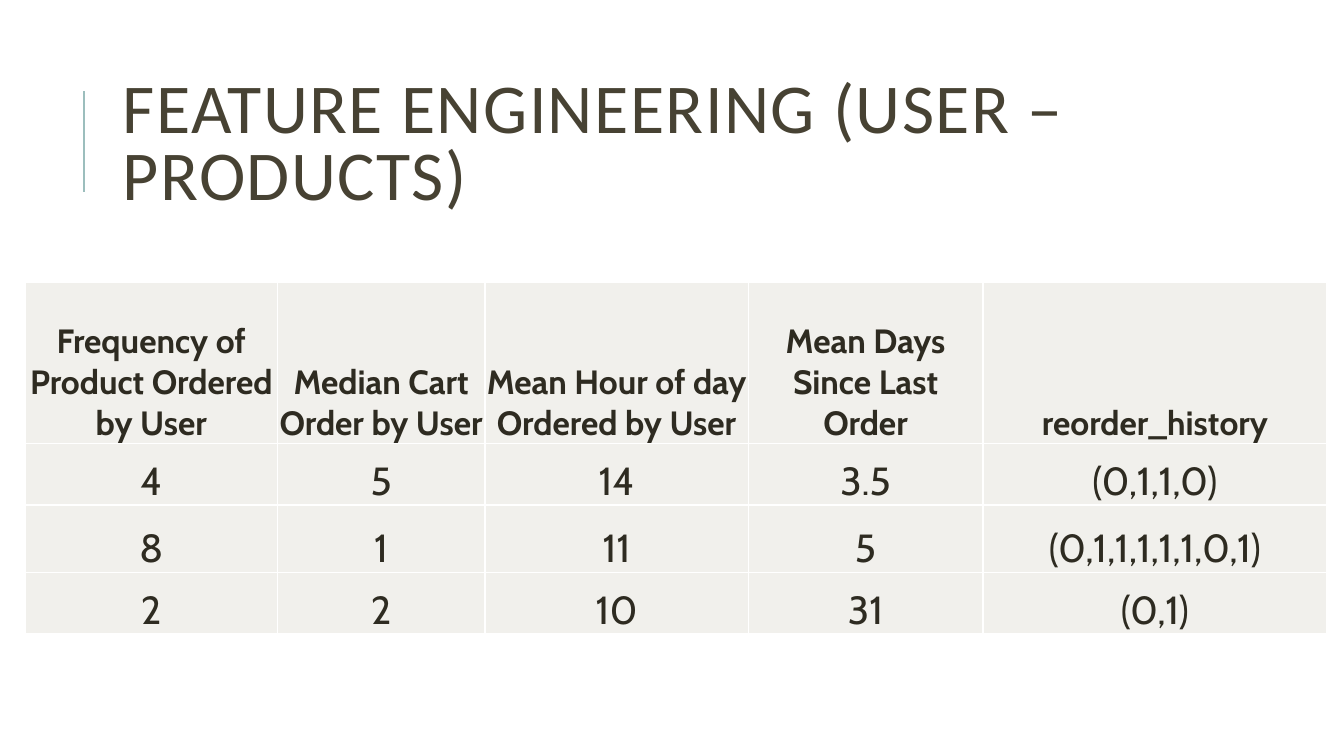
from lxml import etree
from pptx import Presentation
from pptx.dml.color import RGBColor
from pptx.enum.shapes import MSO_CONNECTOR
from pptx.enum.text import MSO_ANCHOR, PP_ALIGN
from pptx.oxml.ns import qn
from pptx.util import Pt

LINE = MSO_CONNECTOR.STRAIGHT
MIDDLE, BOTTOM = MSO_ANCHOR.MIDDLE, MSO_ANCHOR.BOTTOM
CENTER = PP_ALIGN.CENTER
PX = 9144  # EMU per px, 100 px to the inch
COLORS = {"title": "474233", "accent": "9CBEBD", "text": "2E2B21",
          "cell": "F1F0EC", "border": "FFFFFF"}
COLS = [250, 206, 261, 233, 341]
ROWS = [160, 61, 67, 61]
DATA = [
    ["Frequency of Product Ordered by User", "Median Cart Order by User",
     "Mean Hour of day Ordered by User", "Mean Days Since Last Order",
     "reorder_history"],
    ["4", "5", "14", "3.5", "(0,1,1,0)"],
    ["8", "1", "11", "5", "(0,1,1,1,1,1,0,1)"],
    ["2", "2", "10", "31", "(0,1)"],
]


def px(*sizes):
    return [size * PX for size in sizes]


def color(name):
    return RGBColor.from_string(COLORS[name])


def style(para, face, size, name, bold=False):
    font = para.font
    font.name, font.size, font.bold = face, Pt(size), bold
    font.color.rgb = color(name)


def add_title(slide, left, top, width, height):
    # Accent rule left of the title
    x = left - 29
    rule = slide.shapes.add_connector(LINE, *px(x, top + 126, x, top + 26))
    rule.line.color.rgb = color("accent")
    rule.line.width = Pt(1.5)
    etree.SubElement(rule._element.spPr, qn("a:effectLst"))

    # Title text
    frame = slide.shapes.add_textbox(*px(left, top, width, height)).text_frame
    frame.word_wrap = True
    frame.vertical_anchor = MIDDLE
    para = frame.paragraphs[0]
    run = para.add_run()
    run.text = "FEATURE ENGINEERING (USER – PRODUCTS)"
    para.line_spacing = 0.8
    style(para, "Calibri", 50, "title")
    run.font._element.set("spc", "100")


def add_borders(cell):
    props = cell._tc.get_or_add_tcPr()
    for i, side in enumerate(("lnL", "lnR", "lnT", "lnB")):
        line = etree.Element(qn("a:" + side), w=str(Pt(1)))
        fill = etree.SubElement(line, qn("a:solidFill"))
        etree.SubElement(fill, qn("a:srgbClr"), val=COLORS["border"])
        props.insert(i, line)


def fill_cell(cell, text, head):
    cell.fill.solid()
    cell.fill.fore_color.rgb = color("cell")
    cell.margin_left = cell.margin_right = cell.margin_top = PX
    cell.margin_bottom = 0
    cell.vertical_anchor = BOTTOM
    cell.text = text
    para = cell.text_frame.paragraphs[0]
    para.alignment = CENTER
    style(para, "Cabin", 24 if head else 28, "text", head)
    add_borders(cell)


def add_grid(slide, left, top):
    box = px(left, top, sum(COLS), sum(ROWS))
    table = slide.shapes.add_table(len(ROWS), len(COLS), *box).table
    for col, width in zip(table.columns, COLS):
        col.width = width * PX
    for r, (row, height) in enumerate(zip(table.rows, ROWS)):
        row.height = height * PX
        for cell, text in zip(row.cells, DATA[r]):
            fill_cell(cell, text, r == 0)


def main():
    deck = Presentation()
    deck.slide_width, deck.slide_height = px(1333, 750)
    slide = deck.slides.add_slide(deck.slide_layouts[6])
    add_title(slide, 112, 64, 1063, 164)
    add_grid(slide, 25, 280)
    deck.save("out.pptx")


if __name__ == "__main__":
    main()
